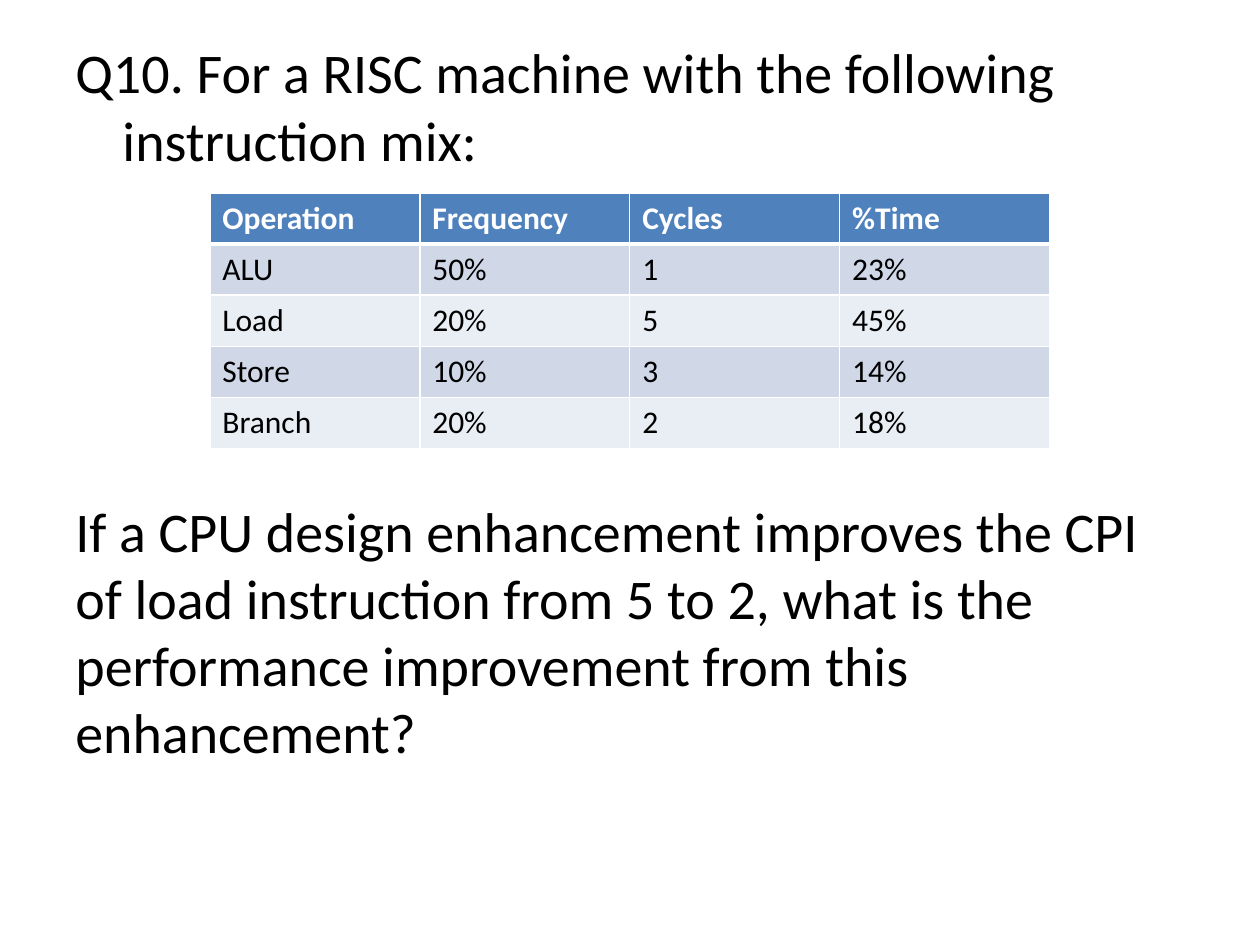
from dataclasses import dataclass

from lxml import etree
from pptx import Presentation
from pptx.dml.color import RGBColor
from pptx.oxml import ns
from pptx.util import Cm, Pt


@dataclass(frozen=True)
class Theme:
    font: str = "Calibri"
    ink: str = "000000"
    paper: str = "FFFFFF"
    header: str = "4F81BD"
    bands: tuple = ("D0D8E8", "E9EDF4")
    question_size: int = 32
    table_size: int = 18
    rule: int = 1
    header_rule: int = 3


THEME = Theme()
PREMISE = "Q10. For a RISC machine with the following instruction mix:"
QUESTION = (
    "If a CPU design enhancement improves the CPI of load instruction from 5 to 2, "
    "what is the performance improvement from this enhancement?"
)
INSTRUCTION_MIX = [
    ("Operation", "Frequency", "Cycles", "%Time"),
    ("ALU", "50%", "1", "23%"),
    ("Load", "20%", "5", "45%"),
    ("Store", "10%", "3", "14%"),
    ("Branch", "20%", "2", "18%"),
]


def write(paragraph, content, size, color=THEME.ink, bold=False, before=0, hanging=0):
    run = paragraph.add_run()
    run.text = content
    run.font.name = THEME.font
    run.font.size = Pt(size)
    run.font.bold = bold
    run.font.color.rgb = RGBColor.from_string(color)
    paragraph.space_before = Pt(before)
    if hanging:
        properties = paragraph._p.get_or_add_pPr()
        properties.set("marL", str(Cm(hanging)))
        properties.set("indent", str(-Cm(hanging)))


def add_question(slide):
    question = slide.shapes.add_textbox(Cm(1.27), Cm(0.64), Cm(22.86), Cm(16.38))
    frame = question.text_frame
    frame.word_wrap = True
    write(frame.paragraphs[0], PREMISE, THEME.question_size, hanging=0.95)
    write(frame.add_paragraph(), QUESTION, THEME.question_size, before=185)


def set_borders(cell, bottom):
    properties = cell._tc.get_or_add_tcPr()
    widths = {"lnL": THEME.rule, "lnR": THEME.rule, "lnT": THEME.rule, "lnB": bottom}
    for position, (side, width) in enumerate(widths.items()):
        line = etree.Element(ns.qn(f"a:{side}"), w=str(Pt(width)))
        fill = etree.SubElement(line, ns.qn("a:solidFill"))
        etree.SubElement(fill, ns.qn("a:srgbClr"), val=THEME.paper)
        properties.insert(position, line)


def style_cell(cell, content, row):
    is_header = row == 0
    fill = THEME.header if is_header else THEME.bands[(row - 1) % 2]
    cell.fill.solid()
    cell.fill.fore_color.rgb = RGBColor.from_string(fill)
    write(
        cell.text_frame.paragraphs[0],
        content,
        THEME.table_size,
        color=THEME.paper if is_header else THEME.ink,
        bold=is_header,
    )
    set_borders(cell, THEME.header_rule if is_header else THEME.rule)


def add_instruction_mix(slide):
    rows, columns = len(INSTRUCTION_MIX), len(INSTRUCTION_MIX[0])
    mix = slide.shapes.add_table(
        rows, columns, Cm(4.23), Cm(3.89), Cm(16.93), Cm(5.15)
    ).table
    for row, operation in enumerate(INSTRUCTION_MIX):
        for column, content in enumerate(operation):
            style_cell(mix.cell(row, column), content, row)


def main():
    deck = Presentation()
    deck.slide_width, deck.slide_height = Cm(25.4), Cm(19.05)
    slide = deck.slides.add_slide(deck.slide_layouts[6])
    add_question(slide)
    add_instruction_mix(slide)
    deck.save("out.pptx")


if __name__ == "__main__":
    main()
